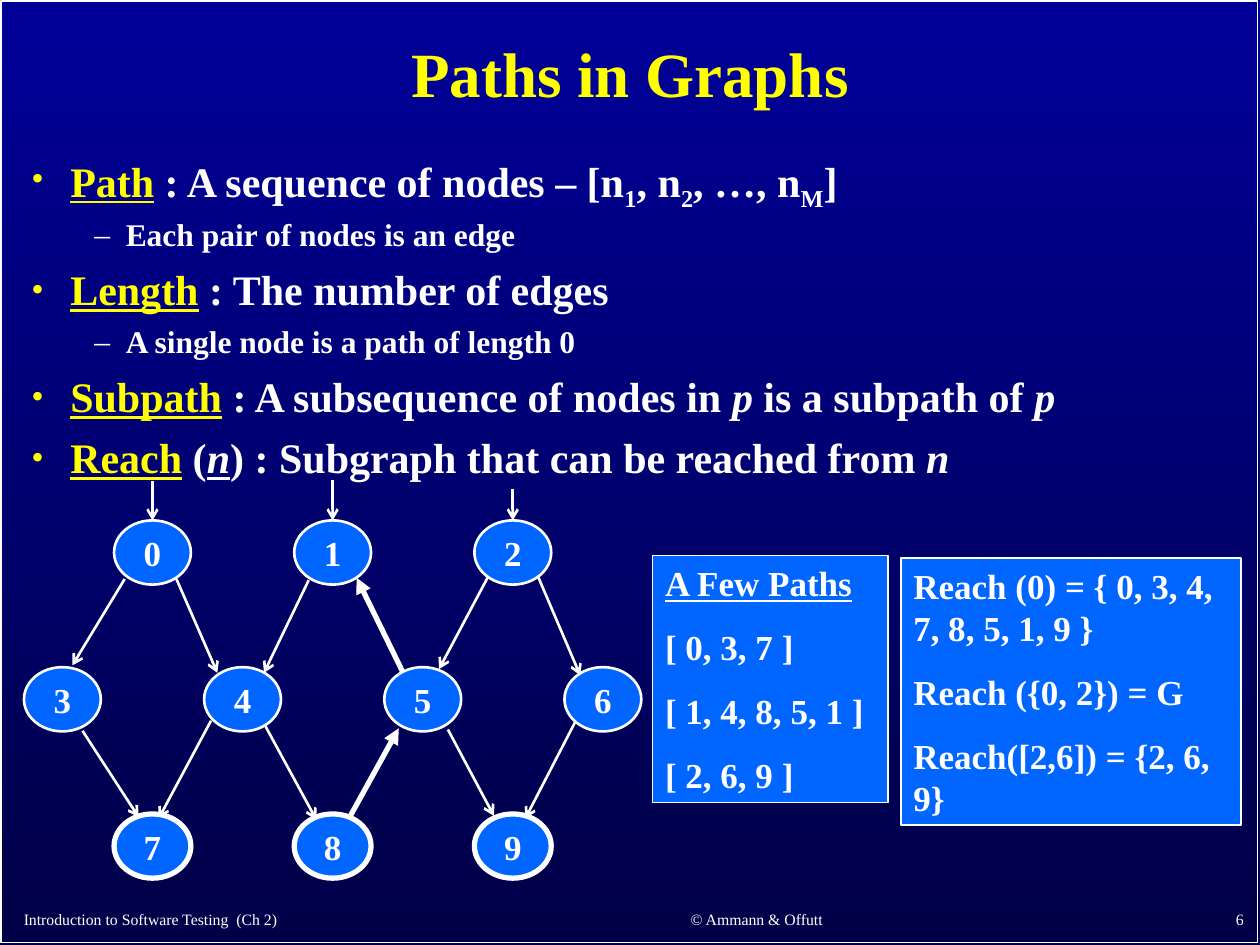
from lxml.etree import SubElement
from pptx import Presentation
from pptx.dml.color import RGBColor
from pptx.enum.shapes import MSO_CONNECTOR, MSO_SHAPE
from pptx.enum.text import MSO_ANCHOR as ANCHOR, MSO_AUTO_SIZE as AUTO, PP_ALIGN as ALIGN
from pptx.oxml.ns import qn
from pptx.util import Inches, Pt

WHITE = RGBColor(0xFF, 0xFF, 0xFF)
YELLOW = RGBColor(0xFF, 0xFF, 0x00)
BLUE = RGBColor(0x00, 0x66, 0xFF)
BG_TOP = RGBColor(0x00, 0x00, 0x99)
BG_BOTTOM = RGBColor(0x00, 0x00, 0x47)
FONT = "Times New Roman"

# Runs are (text, style): k key term, i italic, u underline, s subscript
BULLETS = [
    (0, [("Path", "k"), (" : A sequence of nodes – [n", ""), ("1", "s"), (", n", ""),
         ("2", "s"), (", …, n", ""), ("M", "s"), ("]", "")]),
    (1, [("Each pair of nodes is an edge", "")]),
    (0, [("Length", "k"), (" : The number of edges", "")]),
    (1, [("A single node is a path of length 0", "")]),
    (0, [("Subpath", "k"), (" : A subsequence of nodes in ", ""), ("p", "i"),
         (" is a subpath of ", ""), ("p", "i")]),
    (0, [("Reach", "k"), (" (", ""), ("n", "iu"),
         (") : Subgraph that can be reached from ", ""), ("n", "i")]),
]
# Per level: font size, left margin, hanging indent, space before, mark, mark colour, mark size
LEVELS = [(24, 0.31, 0.31, 9, "•", YELLOW, 85), (18, 0.75, 0.25, 6.8, "–", WHITE, 100)]

# Node number -> (column, row) of the graph grid
NODES = {0: (1, 0), 1: (3, 0), 2: (5, 0), 3: (0, 1), 4: (2, 1), 5: (4, 1), 6: (6, 1),
         7: (1, 2), 8: (3, 2), 9: (5, 2)}
FINAL_ROW = 2
# Tail node, head node, and the offset of each end from its node's centre
EDGES = [
    (0, 3, (-0.22, 0.21), (0.08, -0.27)), (0, 4, (0.19, 0.21), (-0.2, -0.21)),
    (1, 4, (-0.19, 0.22), (0.17, -0.21)), (5, 1, (-0.15, -0.2), (0.19, 0.2)),
    (2, 5, (-0.2, 0.2), (0.13, -0.24)), (2, 6, (0.2, 0.19), (-0.18, -0.19)),
    (3, 7, (0.16, 0.25), (-0.11, -0.23)), (4, 7, (-0.25, 0.17), (0.05, -0.22)),
    (4, 8, (0.18, 0.21), (-0.13, -0.21)), (8, 5, (0.13, -0.22), (-0.19, 0.23)),
    (5, 9, (0.2, 0.24), (-0.15, -0.24)), (6, 9, (-0.22, 0.18), (0.1, -0.22)),
]
ENTRY_TOPS = {0: 3.82, 1: 3.81, 2: 3.88}


def style_font(font, size, color=WHITE, bold=True):
    font.name, font.size, font.bold = FONT, Pt(size), bold
    font.color.rgb = color


def add_box(s, kind, box, fill=None, line=1):
    sp = s.shapes.add_shape(kind, *map(Inches, box))
    sp.shadow.inherit = False
    if fill is None:
        sp.fill.background()
    else:
        sp.fill.solid()
        sp.fill.fore_color.rgb = fill
    sp.line.color.rgb, sp.line.width = WHITE, Pt(line)
    return sp


def add_arrow(s, start, end, width=1.5, head="arrow"):
    c = s.shapes.add_connector(MSO_CONNECTOR.STRAIGHT, *map(Inches, (*start, *end)))
    c.line.color.rgb, c.line.width = WHITE, Pt(width)
    SubElement(c.line._get_or_add_ln(), qn("a:tailEnd"), type=head)
    SubElement(c._element.spPr, qn("a:effectLst"))
    return c


def add_background(s):
    fill = s.background.fill
    fill.gradient()
    fill.gradient_angle = 270
    for stop, color in zip(fill.gradient_stops, (BG_TOP, BG_BOTTOM)):
        stop.color.rgb = color
    add_box(s, MSO_SHAPE.RECTANGLE, (0.01, 0.01, 9.97, 7.47))


def add_title(s, box, text):
    t = s.shapes.title
    t.left, t.top, t.width, t.height = map(Inches, box)
    tf = t.text_frame
    tf.text, tf.vertical_anchor = text, ANCHOR.MIDDLE
    p = tf.paragraphs[0]
    p.alignment, p.line_spacing = ALIGN.CENTER, 0.9
    style_font(p.runs[0].font, 36, YELLOW)


def add_footer(s, box, text, align):
    tf = s.shapes.add_textbox(*map(Inches, box)).text_frame
    tf.text, tf.word_wrap, tf.vertical_anchor = text, True, ANCHOR.BOTTOM
    p = tf.paragraphs[0]
    p.alignment = align
    style_font(p.runs[0].font, 9, bold=False)


def set_bullet(p, margin, hang, mark, color, size):
    pPr = p._p.get_or_add_pPr()
    pPr.set("marL", str(Inches(margin)))
    pPr.set("indent", str(-Inches(hang)))
    clr = SubElement(pPr, qn("a:buClr"))
    SubElement(clr, qn("a:srgbClr"), val=str(color))
    SubElement(pPr, qn("a:buSzPct"), val=str(size * 1000))
    SubElement(pPr, qn("a:buFont"), typeface=FONT)
    SubElement(pPr, qn("a:buChar"), char=mark)


def add_bullets(s, box, items):
    tf = s.shapes.add_textbox(*map(Inches, box)).text_frame
    tf.word_wrap = True
    for n, (level, runs) in enumerate(items):
        size, margin, hang, before, mark, color, mark_size = LEVELS[level]
        p = tf.add_paragraph() if n else tf.paragraphs[0]
        set_bullet(p, margin, hang, mark, color, mark_size)
        p.level, p.line_spacing = level, 0.9
        if n:
            p.space_before = Pt(before)
        for text, style in runs:
            r = p.add_run()
            r.text = text
            style_font(r.font, size, YELLOW if "k" in style else WHITE)
            if "k" in style or "u" in style:
                r.font.underline = True
            if "i" in style:
                r.font.italic = True
            if "s" in style:
                r._r.get_or_add_rPr().set("baseline", "-25000")


def add_graph(s, box):
    left, top, width, height = box
    node_w, node_h = 0.61, 0.51
    col, row = (width - node_w) / 6, (height - node_h) / 2
    centers = {n: (left + node_w / 2 + c * col, top + node_h / 2 + r * row)
               for n, (c, r) in NODES.items()}

    # Edges; the ones that lead back up are heavy
    for a, b, off_a, off_b in EDGES:
        start, end = ([m + d for m, d in zip(centers[n], off)]
                      for n, off in ((a, off_a), (b, off_b)))
        look = (3, "triangle") if a > b else (1.5, "arrow")
        add_arrow(s, start, end, *look)

    # Nodes, with entry arrows on the initial ones
    for n, (x, y) in centers.items():
        sp = add_box(s, MSO_SHAPE.OVAL, (x - node_w / 2, y - node_h / 2, node_w, node_h),
                     BLUE, 3 if NODES[n][1] == FINAL_ROW else 1.5)
        tf = sp.text_frame
        tf.margin_left = tf.margin_right = tf.margin_top = tf.margin_bottom = 0
        tf.text, tf.vertical_anchor = str(n), ANCHOR.MIDDLE
        tf.paragraphs[0].alignment = ALIGN.CENTER
        style_font(tf.paragraphs[0].runs[0].font, 20)
        if n in ENTRY_TOPS:
            add_arrow(s, (x, ENTRY_TOPS[n]), (x, y - node_h / 2)).end_connect(sp, 0)


def add_panel(s, box, lines, heading=False):
    tf = add_box(s, MSO_SHAPE.RECTANGLE, box, BLUE).text_frame
    tf.text = "\n".join(lines)
    tf.word_wrap, tf.vertical_anchor = True, ANCHOR.TOP
    tf.auto_size = AUTO.SHAPE_TO_FIT_TEXT
    for n, p in enumerate(tf.paragraphs):
        p.alignment = ALIGN.LEFT
        if n:
            p.space_before = Pt(12.5)
        style_font(p.runs[0].font, 20)
    if heading:
        tf.paragraphs[0].runs[0].font.underline = True


def main():
    prs = Presentation()
    prs.slide_width, prs.slide_height = Inches(10), Inches(7.5)
    s = prs.slides.add_slide(prs.slide_layouts[5])
    add_background(s)
    add_footer(s, (0.09, 7.12, 4.12, 0.3), "Introduction to Software Testing  (Ch 2)", ALIGN.LEFT)
    add_footer(s, (4.42, 7.11, 3.17, 0.31), "© Ammann & Offutt", ALIGN.CENTER)
    add_footer(s, (7.89, 7.1, 2.08, 0.32), "6", ALIGN.RIGHT)
    add_title(s, (0.75, 0.11, 8.5, 1), "Paths in Graphs")
    add_bullets(s, (0.15, 1.19, 9.7, 2.76), BULLETS)
    add_graph(s, (0.19, 4.13, 4.9, 2.84))
    add_panel(s, (5.18, 4.41, 1.87, 1.96),
              ["A Few Paths", "[ 0, 3, 7 ]", "[ 1, 4, 8, 5, 1 ]", "[ 2, 6, 9 ]"], heading=True)
    add_panel(s, (7.15, 4.43, 2.7, 2.12),
              ["Reach (0) = { 0, 3, 4, 7, 8, 5, 1, 9 }", "Reach ({0, 2}) = G",
               "Reach([2,6]) = {2, 6, 9}"])
    prs.save("out.pptx")


if __name__ == "__main__":
    main()
